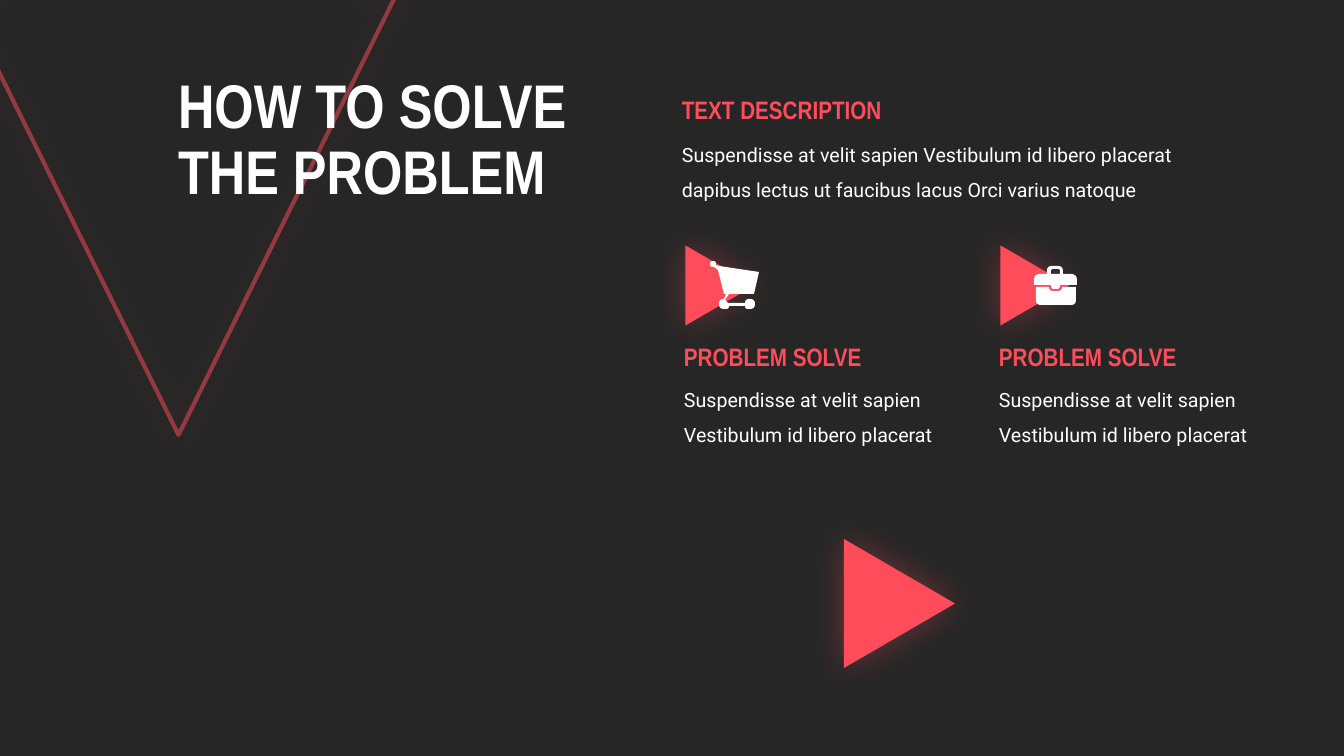
from lxml.etree import SubElement as Sub
from pptx import Presentation
from pptx.dml.color import RGBColor
from pptx.enum.shapes import MSO_SHAPE as Kind
from pptx.enum.text import MSO_ANCHOR as Anchor, MSO_AUTO_SIZE as Fit, PP_ALIGN as Align
from pptx.oxml.ns import qn
from pptx.util import Emu, Pt

PX = 914400 / 100.8
DARK = RGBColor(0x26, 0x26, 0x26)
RED = RGBColor(0xFF, 0x4C, 0x5B)
WHITE = RGBColor(0xFF, 0xFF, 0xFF)
HEAD = dict(font="Arial Narrow", size=18, color=RED, bold=True)
BODY = dict(font="Roboto", size=14, color=WHITE, gap=1.5)
STEP = 315

CART = [(745, 303, 0), (728, 303, 0), (725, 300, 0), (729, 294, 0), (754, 294, 0),
        (759, 272, 0), (719, 266, 0), (716, 265, 0), (716, 261, 3), (710, 261, 3),
        (710, 267, 3), (714, 267, 0), (718, 270, 0), (724, 294, 0), (726, 294, 0),
        (724, 299, 0), (719, 299, 5), (719, 309, 5), (729, 309, 3), (729, 306, 0),
        (745, 306, 0), (745, 309, 3), (755, 309, 5), (755, 299, 5), (745, 299, 4)]
BASE = [(1036, 287, 0), (1049, 287, 0), (1049, 291, 4), (1062, 291, 4),
        (1062, 287, 0), (1076, 287, 0), (1076, 305, 5), (1036, 305, 5)]
LID = [(1034, 285, 0), (1034, 274, 6), (1047, 274, 0), (1047, 266, 5), (1063, 266, 5),
       (1063, 274, 0), (1077, 274, 6), (1077, 285, 0), (1060, 285, 0), (1060, 289, 3),
       (1051, 289, 3), (1051, 285, 0)]
HOLE = [(1051, 274, 0), (1051, 269, 2), (1060, 269, 2), (1060, 274, 0)]


def px(*nums):
    return [Emu(round(n * PX)) for n in nums]


def write(frame, text, font, size, color, bold=False, gap=1.0):
    frame.word_wrap = True
    para = frame.paragraphs[0]
    para.text = text
    para.alignment = Align.LEFT
    para.line_spacing = gap
    for run in para.runs:
        run.font.name = font
        run.font.size = Pt(size)
        run.font.bold = bold
        run.font.color.rgb = color


def add_text(slide, box, text, **form):
    frame = slide.shapes.add_textbox(*px(*box)).text_frame
    write(frame, text, **form)
    frame.auto_size = Fit.SHAPE_TO_FIT_TEXT


def add_title(slide, box, text, **form):
    title = slide.shapes.title
    title.left, title.top, title.width, title.height = px(*box)
    write(title.text_frame, text, **form)
    title.text_frame.auto_size = Fit.NONE
    title.text_frame.vertical_anchor = Anchor.MIDDLE


def add_alpha(color, part):
    Sub(color, qn("a:alpha")).set("val", str(part * 1000))


def add_glow(shape):
    shape.shadow.inherit = False
    glow = Sub(shape._element.spPr.find(qn("a:effectLst")), qn("a:outerShdw"))
    glow.set("blurRad", str(Pt(25)))
    glow.set("dist", "0")
    glow.set("dir", "0")
    glow.set("algn", "ctr")
    glow.set("rotWithShape", "0")
    tint = Sub(glow, qn("a:srgbClr"))
    tint.set("val", str(RED))
    add_alpha(tint, 35)


def add_arrow(slide, box):
    shape = slide.shapes.add_shape(Kind.ISOSCELES_TRIANGLE, *px(*box))
    shape.rotation = 90
    shape.fill.solid()
    shape.fill.fore_color.rgb = RED
    shape.line.fill.background()
    add_glow(shape)


def add_frame(slide, box):
    shape = slide.shapes.add_shape(Kind.ISOSCELES_TRIANGLE, *px(*box))
    shape.rotation = 180
    shape.fill.background()
    shape.line.width = Pt(3)
    shape.line.color.rgb = RED
    add_alpha(shape.line._ln.find(".//" + qn("a:srgbClr")), 50)
    add_glow(shape)
    slide.shapes._spTree.insert(2, shape._element)


def toward(start, end, far):
    dx, dy = end[0] - start[0], end[1] - start[1]
    part = far / (dx * dx + dy * dy) ** 0.5
    return start[0] + dx * part, start[1] + dy * part


def outline(spots):
    dots = []
    for i, (x, y, bend) in enumerate(spots):
        if not bend:
            dots.append((x, y))
            continue
        a = toward((x, y), spots[i - 1], bend)
        b = toward((x, y), spots[(i + 1) % len(spots)], bend)
        for t in (0, 0.25, 0.5, 0.75, 1):
            u = 1 - t
            dots.append(tuple(u * u * p + 2 * u * t * q + t * t * r
                              for p, q, r in zip(a, (x, y), b)))
    return [px(*dot) for dot in dots]


def add_icon(shapes, *loops):
    first, *rest = [outline(loop) for loop in loops]
    pen = shapes.build_freeform(*first[0])
    pen.add_line_segments(first[1:], close=True)
    for dots in rest:
        pen.move_to(*dots[0])
        pen.add_line_segments(dots[1:], close=True)
    shape = pen.convert_to_shape()
    shape.fill.solid()
    shape.fill.fore_color.rgb = WHITE
    shape.line.fill.background()
    shape.shadow.inherit = False


def main():
    deck = Presentation()
    deck.slide_width, deck.slide_height = px(1344, 756)
    slide = deck.slides.add_slide(deck.slide_layouts[5])
    slide.background.fill.solid()
    slide.background.fill.fore_color.rgb = DARK

    add_frame(slide, (-43, -13, 443, 448))
    add_title(slide, (168, 62, 567, 159), "HOW TO SOLVE\vTHE PROBLEM",
              font="Arial Narrow", size=44, color=WHITE, bold=True, gap=0.9)
    add_text(slide, (672, 126, 517, 78),
             "Suspendisse at velit sapien Vestibulum id libero placerat "
             "dapibus lectus ut faucibus lacus Orci varius natoque", **BODY)
    add_text(slide, (672, 89, 247, 40), "TEXT DESCRIPTION", **HEAD)

    for col in range(2):
        move = col * STEP
        add_arrow(slide, (680 + move, 251, 80, 69))
        add_text(slide, (674 + move, 371, 271, 78),
                 "Suspendisse at velit sapien Vestibulum id libero placerat", **BODY)
        add_text(slide, (674 + move, 336, 223, 40), "PROBLEM SOLVE", **HEAD)

    case = slide.shapes.add_group_shape()
    add_icon(case.shapes, BASE)
    add_icon(case.shapes, LID, HOLE)
    add_icon(slide.shapes, CART)
    add_arrow(slide, (835, 548, 129, 111))
    deck.save("out.pptx")


if __name__ == "__main__":
    main()
